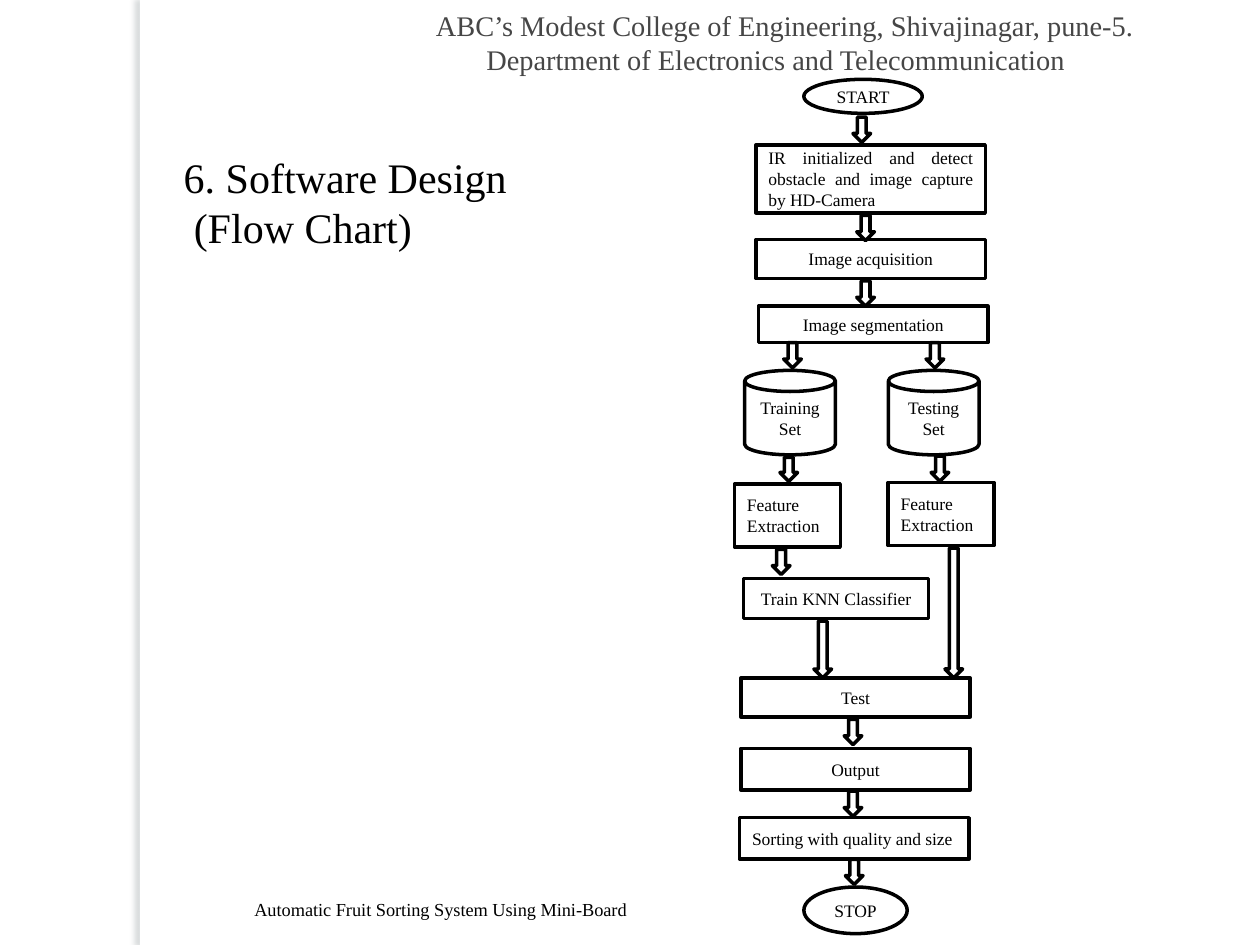
from lxml import etree
from pptx import Presentation
from pptx.dml.color import RGBColor
from pptx.enum.shapes import MSO_SHAPE
from pptx.enum.text import MSO_ANCHOR, MSO_AUTO_SIZE, PP_ALIGN
from pptx.oxml.ns import qn
from pptx.util import Inches, Pt

RECT = MSO_SHAPE.RECTANGLE
OVAL = MSO_SHAPE.OVAL
CAN = MSO_SHAPE.CAN
DOWN_ARROW = MSO_SHAPE.DOWN_ARROW
MIDDLE = MSO_ANCHOR.MIDDLE
NO_FIT = MSO_AUTO_SIZE.NONE
LEFT = PP_ALIGN.LEFT
CENTER = PP_ALIGN.CENTER
JUSTIFY = PP_ALIGN.JUSTIFY

FONT = "Times New Roman"
BLACK = "000000"
WHITE = "FFFFFF"
GREY = "464646"
SHADOW = "6E7A7D"

STEPS = [
    (OVAL, 6.38, 0.63, 0.94, 0.27, "START", CENTER),
    (RECT, 6, 1.15, 1.82, 0.54,
     "IR initialized and detect obstacle and image capture by HD-Camera", JUSTIFY),
    (RECT, 6, 1.9, 1.82, 0.31, "Image acquisition", CENTER),
    (RECT, 6.02, 2.43, 1.82, 0.29, "Image segmentation", CENTER),
    (CAN, 5.91, 2.94, 0.72, 0.67, "Training Set", CENTER),
    (CAN, 7.05, 2.94, 0.72, 0.67, "Testing Set", CENTER),
    (RECT, 5.83, 3.84, 0.84, 0.5, "Feature Extraction", JUSTIFY),
    (RECT, 7.05, 3.83, 0.84, 0.5, "Feature Extraction", JUSTIFY),
    (RECT, 5.9, 4.59, 1.47, 0.32, "Train KNN Classifier", CENTER),
    (RECT, 5.88, 5.38, 1.82, 0.31, "Test", CENTER),
    (RECT, 5.88, 5.94, 1.82, 0.33, "Output", CENTER),
    (RECT, 5.87, 6.49, 1.82, 0.33, "Sorting with quality and size", JUSTIFY),
    (OVAL, 6.38, 7.04, 0.82, 0.37, "STOP", CENTER),
]

ARROWS = [
    (6.77, 0.93, 0.2), (6.8, 1.71, 0.2), (6.8, 2.23, 0.2),
    (6.22, 2.72, 0.2), (7.35, 2.72, 0.2), (6.19, 3.63, 0.19),
    (7.39, 3.62, 0.2), (6.13, 4.36, 0.2), (7.5, 4.35, 1.03),
    (6.46, 4.93, 0.45), (6.7, 5.71, 0.2), (6.7, 6.28, 0.2),
    (6.71, 6.82, 0.2),
]


def rgb(color):
    return RGBColor.from_string(color)


def write(tf, lines, size, color=BLACK, align=LEFT):
    for i, (text, indent) in enumerate(lines):
        p = tf.paragraphs[0] if i == 0 else tf.add_paragraph()
        p.alignment = align
        p.space_before = Pt(0)
        pPr = p._p.get_or_add_pPr()
        pPr.set("marL", str(Inches(indent)))
        pPr.set("indent", "0")
        r = p.add_run()
        r.text = text
        r.font.name = FONT
        r.font.size = Pt(size)
        r.font.color.rgb = rgb(color)


def add_title(s):
    sp = s.shapes.title
    sp.left, sp.top, sp.width, sp.height = map(Inches, (1.9, 0, 8.1, 0.67))
    tf = sp.text_frame
    tf.word_wrap = True
    tf.auto_size = NO_FIT
    tf.vertical_anchor = MIDDLE
    write(tf, [
        ("ABC’s Modest College of Engineering, Shivajinagar, pune-5.", 1.46),
        ("Department of Electronics and Telecommunication", 1.86),
    ], 16.2, GREY)


def add_text(s, x, y, w, h, lines, size, wrap=True):
    sp = s.shapes.add_textbox(Inches(x), Inches(y), Inches(w), Inches(h))
    tf = sp.text_frame
    tf.word_wrap = wrap
    write(tf, lines, size)


def add_block(s, kind, x, y, w, h):
    sp = s.shapes.add_shape(kind, Inches(x), Inches(y), Inches(w), Inches(h))
    sp.shadow.inherit = False
    sp.fill.solid()
    sp.fill.fore_color.rgb = rgb(WHITE)
    sp.line.color.rgb = rgb(BLACK)
    sp.line.width = Pt(2)
    return sp


def add_step(s, kind, x, y, w, h, text, align):
    tf = add_block(s, kind, x, y, w, h).text_frame
    tf.word_wrap = True
    tf.vertical_anchor = MIDDLE
    write(tf, [(text, 0)], 10, align=align)


def add_side_strip(s):
    sp = add_block(s, RECT, 1.11, 0, 0.08, 7.5)
    sp.line.fill.background()
    effects = sp._element.spPr.find(qn("a:effectLst"))
    shadow = etree.SubElement(effects, qn("a:outerShdw"), blurRad=str(Pt(3)),
                              dist=str(Pt(3)), dir="10800000", rotWithShape="0")
    color = etree.SubElement(shadow, qn("a:srgbClr"), val=SHADOW)
    etree.SubElement(color, qn("a:alpha"), val="25000")


def main():
    prs = Presentation()
    prs.slide_width = Inches(10)
    prs.slide_height = Inches(7.5)
    s = prs.slides.add_slide(prs.slide_layouts[5])
    add_side_strip(s)
    add_title(s)
    add_text(s, 1.92, 7.08, 3.29, 0.45,
             [("Automatic Fruit Sorting System Using Mini-Board", 0)], 10.5, wrap=False)
    for step in STEPS:
        add_step(s, *step)
    for x, y, h in ARROWS:
        add_block(s, DOWN_ARROW, x, y, 0.14, h)
    add_text(s, 1.33, 1.15, 3.87, 0.91,
             [("6. Software Design", 0.03), ("(Flow Chart)", 0.11)], 24)
    prs.save("out.pptx")


if __name__ == "__main__":
    main()
